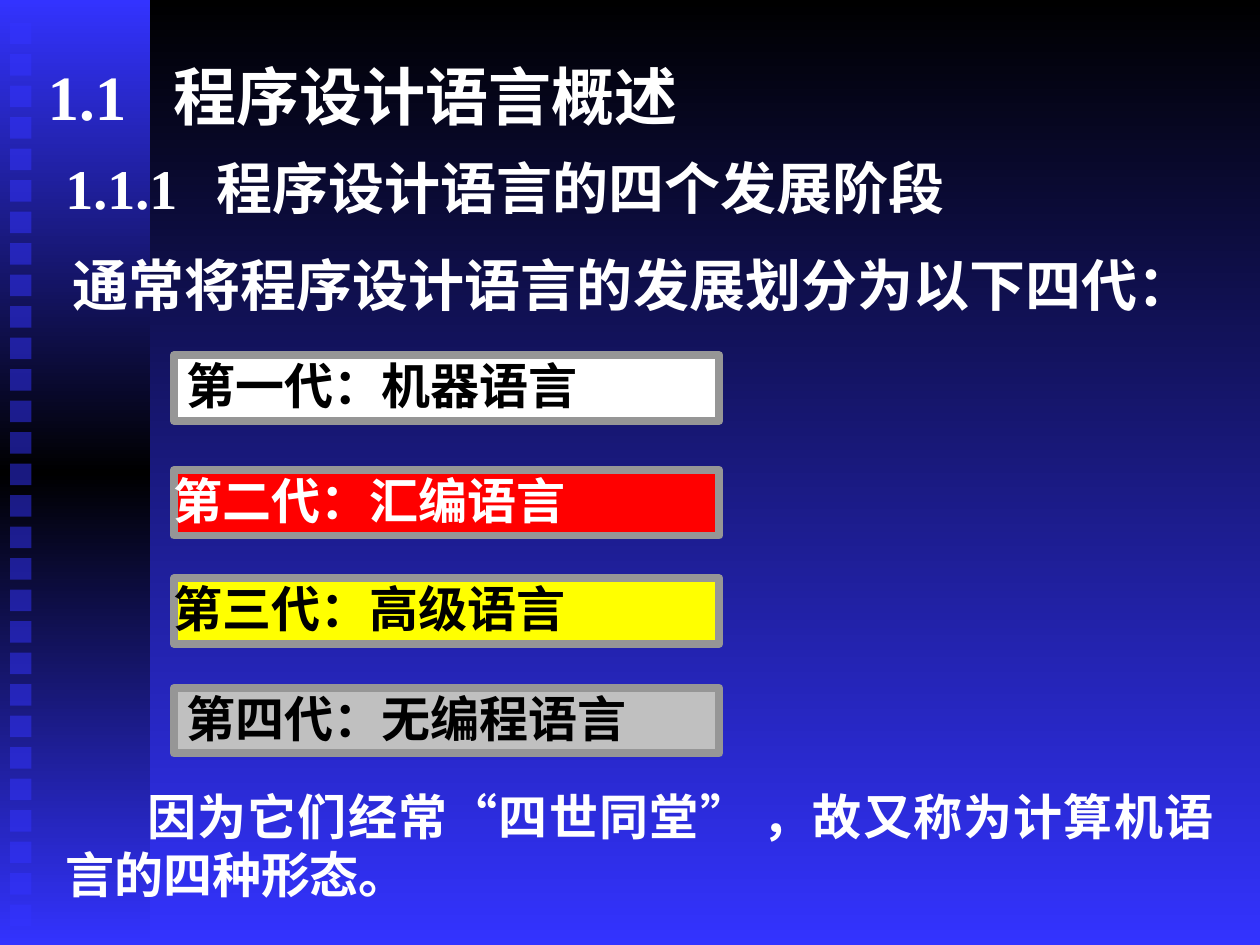
from copy import deepcopy

from lxml.etree import SubElement
from pptx import Presentation
from pptx.dml.color import RGBColor
from pptx.enum.shapes import MSO_SHAPE
from pptx.enum.text import MSO_ANCHOR, PP_ALIGN
from pptx.oxml.ns import qn
from pptx.util import Inches, Pt

COLOURS = {
    "black": "000000",
    "blue": "3333FF",
    "white": "FFFFFF",
    "red": "FF0000",
    "yellow": "FFFF00",
    "silver": "C0C0C0",
    "frame": "969696",
}
FONT = "Times New Roman"


def colour(name):
    return RGBColor.from_string(COLOURS[name])


def fill_gradient(fill, names):
    """Fill from top to bottom with evenly spaced colours."""
    fill.gradient()
    fill.gradient_angle = 270
    first = fill.gradient_stops[0]._gs
    for _ in names[2:]:
        first.addnext(deepcopy(first))
    for index, (stop, name) in enumerate(zip(fill.gradient_stops, names)):
        stop.position = index / (len(names) - 1)
        stop.color.rgb = colour(name)


def write_text(frame, text, size=28, ink="white", insets=(0.1, 0.05, 0.1, 0.05),
               anchor=MSO_ANCHOR.TOP, align=PP_ALIGN.LEFT, indent=0, tab=None):
    """Write one bold paragraph; indent and tab are in inches."""
    frame.word_wrap = True
    frame.vertical_anchor = anchor
    (frame.margin_left, frame.margin_top,
     frame.margin_right, frame.margin_bottom) = map(Inches, insets)
    para = frame.paragraphs[0]
    para.alignment = align
    properties = para._p.get_or_add_pPr()
    if indent:
        properties.set("marL", "0")
        properties.set("indent", str(Inches(indent)))
    if tab:
        tabs = SubElement(properties, qn("a:tabLst"))
        SubElement(tabs, qn("a:tab"), pos=str(Inches(tab)), algn="l")
    span = para.add_run()
    span.text = text
    span.font.name = FONT
    span.font.size = Pt(size)
    span.font.bold = True
    span.font.color.rgb = colour(ink)


class SlideBuilder:
    """Holds the current slide and draws its elements in the shared style."""

    def __init__(self, page):
        self.page = page

    def background(self, *names):
        fill_gradient(self.page.background.fill, names)

    def rectangle(self, *place):
        box = self.page.shapes.add_shape(MSO_SHAPE.RECTANGLE, *map(Inches, place))
        box.shadow.inherit = False
        box.line.fill.background()
        return box

    def side_band(self, *place, names):
        fill_gradient(self.rectangle(*place).fill, names)

    def square(self, left, top, side):
        box = self.rectangle(left, top, side, side)
        box.fill.solid()
        box.fill.fore_color.rgb = colour("blue")
        value = box._element.spPr.find(qn("a:solidFill"))[0]
        SubElement(value, qn("a:alpha"), val="50000")

    def text(self, *place, text, **style):
        box = self.page.shapes.add_textbox(*map(Inches, place))
        write_text(box.text_frame, text, **style)

    def generation(self, top, text, fill, ink, inset):
        box = self.rectangle(1.38, top, 4.33, 0.52)
        box.fill.solid()
        box.fill.fore_color.rgb = colour(fill)
        box.line.color.rgb = colour("frame")
        box.line.width = Pt(4.5)
        write_text(box.text_frame, text, ink=ink, insets=(inset, 0, 0, 0.05),
                   anchor=MSO_ANCHOR.MIDDLE)


def main():
    deck = Presentation()
    deck.slide_width, deck.slide_height = Inches(10), Inches(7.5)
    builder = SlideBuilder(deck.slides.add_slide(deck.slide_layouts[6]))

    builder.background("black", "blue")
    builder.side_band(0, 0, 1.19, 7.5, names=("blue", "black", "blue"))
    for index in range(29):
        builder.square(0.08, 0.18 + 0.25 * index, 0.17)

    builder.text(0.28, 0.13, 8.5, 1.25, text="1.1\t程序设计语言概述",
                 size=36, anchor=MSO_ANCHOR.MIDDLE, tab=1)
    builder.text(0.42, 1.17, 9.58, 0.77, text="1.1.1\t程序设计语言的四个发展阶段",
                 size=32, align=PP_ALIGN.JUSTIFY, tab=1.2)
    builder.text(0.2, 1.94, 9.84, 0.71, text="通常将程序设计语言的发展划分为以下四代：",
                 size=32, align=PP_ALIGN.JUSTIFY, indent=0.28)

    generations = [
        (2.82, "第一代：机器语言", "white", "black", 0.1),
        (3.73, "第二代：汇编语言", "red", "white", 0),
        (4.59, "第三代：高级语言", "yellow", "black", 0),
        (5.46, "第四代：无编程语言", "silver", "black", 0.1),
    ]
    for generation in generations:
        builder.generation(*generation)

    builder.text(0.42, 6.19, 9.31, 1.1,
                 text="因为它们经常“四世同堂” ，故又称为计算机语言的四种形态。",
                 align=PP_ALIGN.JUSTIFY, indent=0.65)
    deck.save("out.pptx")


if __name__ == "__main__":
    main()
